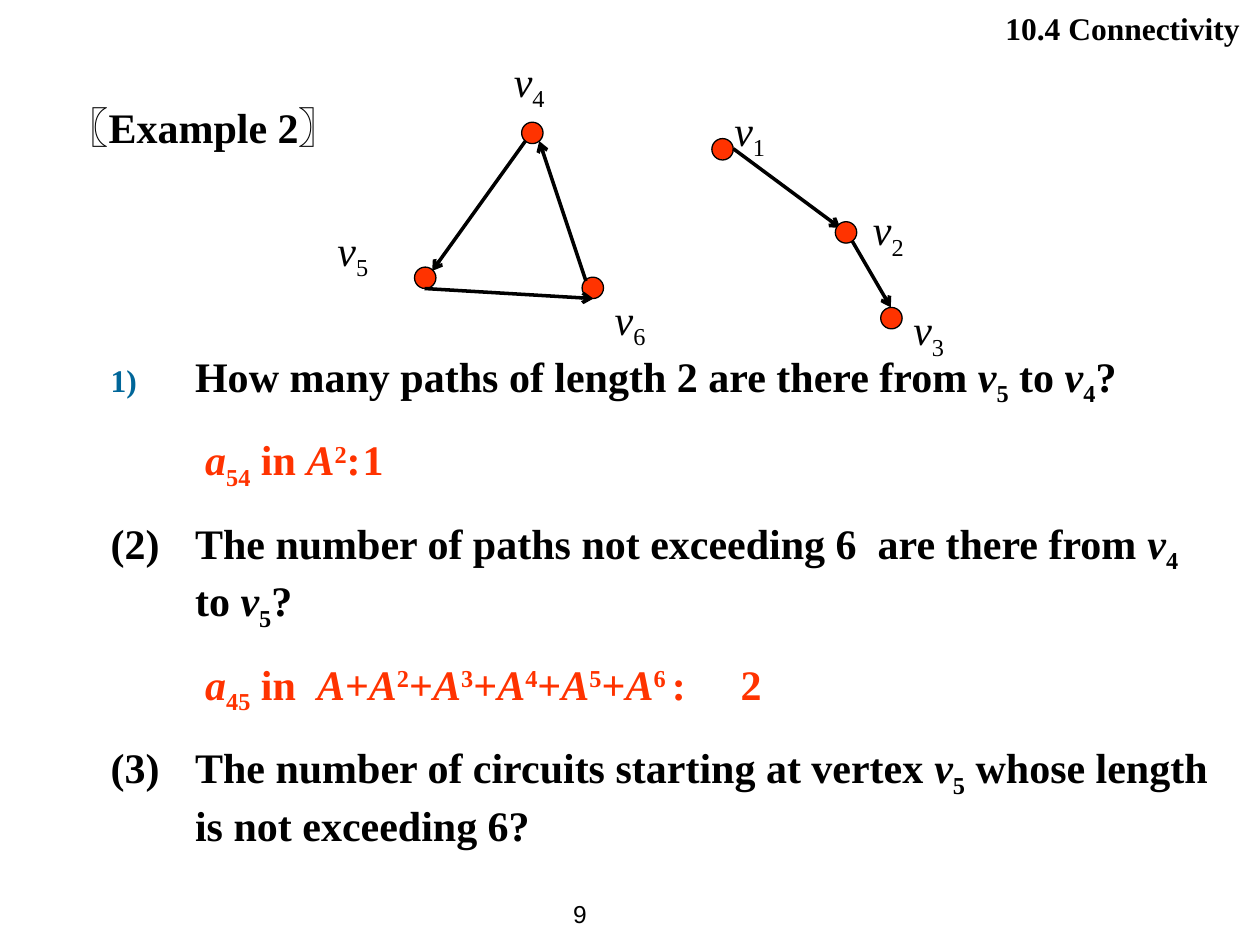
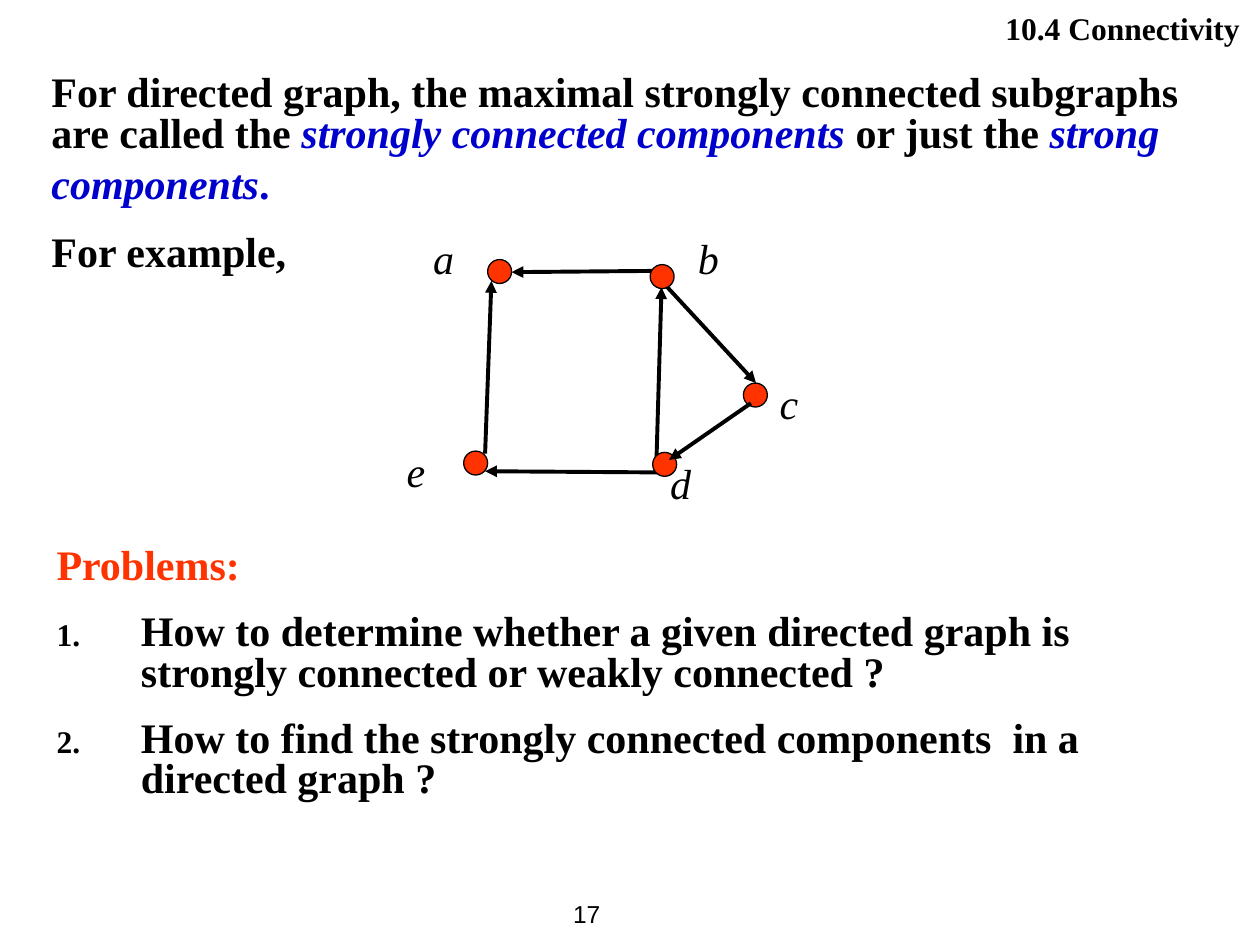
from lxml.etree import SubElement
from pptx import Presentation
from pptx.dml.color import RGBColor
from pptx.enum.shapes import MSO_CONNECTOR, MSO_SHAPE
from pptx.enum.text import MSO_ANCHOR, MSO_AUTO_SIZE, PP_ALIGN
from pptx.oxml.ns import qn
from pptx.util import Inches, Pt

BLACK = RGBColor(0x00, 0x00, 0x00)
RED = RGBColor(0xFF, 0x33, 0x00)
BLUE = RGBColor(0x00, 0x00, 0xCC)
TEAL = RGBColor(0x00, 0x66, 0x99)
SERIF, SANS = "Times New Roman", "Arial"
HANG = 0.67


# Run marks: i italic, _ subscript, ^ superscript, b blue, s sans, L large
def var(letter, index):
    return [(letter, "i"), (index, "_")]


def power(exponent):
    return [("A", "i"), (exponent, "^")]


# ---- Content ----
SECTION = "10.4 Connectivity"

EXAMPLE = [dict(runs=[("〖", "s"), "Example 2", ("〗", "s")])]

POWER_SUM = [("A", "i")]
for exponent in ("2", "3", "4", "5", "6 "):
    POWER_SUM += ["+", *power(exponent)]

QUESTION = dict(left=HANG, indent=-HANG, before=15)
ANSWER = dict(indent=0.75, before=15, color=RED)
PATH_QUESTIONS = [
    dict(left=HANG, indent=-HANG, bullet=("arabicParenR", TEAL),
         runs=["How many paths of length 2 are there from ",
               *var("v", "5"), " to ", *var("v", "4"), "?"]),
    dict(ANSWER, tab=2.45,
         runs=[*var("a", "54"), " in ", *power("2"), ":\t1"]),
    dict(QUESTION,
         runs=["(2)\tThe number of paths not exceeding 6  are there from ",
               *var("v", "4"), " to ", *var("v", "5"), "?"]),
    dict(ANSWER, tab=4.98,
         runs=[*var("a", "45"), " in  ", *POWER_SUM, ":\t2"]),
    dict(QUESTION,
         runs=["(3)\tThe number of circuits starting at vertex ",
               *var("v", "5"), " whose length is not exceeding 6?"]),
]

DEFINITION = [
    dict(spacing=0.8,
         runs=["For directed graph, the maximal strongly connected subgraphs "
               "are called the ",
               ("strongly connected components ", "ib"), "or just the ",
               ("strong components", "ib"), (".", "b"), (" ", "L")]),
    dict(before=9, runs=["For example,"]),
]

PROBLEM = dict(QUESTION, spacing=0.8, bullet=("arabicPeriod", BLACK))
PROBLEMS = [
    dict(spacing=0.8, color=RED, runs=["Problems:"]),
    dict(PROBLEM, runs=["How to determine whether a given directed graph is "
                        "strongly connected or weakly connected ?"]),
    dict(PROBLEM, runs=["How to find the strongly connected components  in a "
                        "directed graph ?"]),
]

# Graphs, back to front: nodes (left, top), edges (from x, y, to x, y)
PATH_GRAPH = dict(
    node=0.17, width=2, arrow="arrow",
    parts=[
        (3.29, 2.12), (4.62, 2.2), (4.14, 0.97),
        (3.37, 2.29, 4.71, 2.37), (4.17, 1.12, 3.43, 2.15),
        (4.65, 2.23, 4.28, 1.12),
        (5.65, 1.1),
        (5.82, 1.18, 6.67, 1.81), (6.75, 1.89, 7.07, 2.44),
        (6.99, 2.44), (6.63, 1.76),
    ],
    labels=[
        (var("v", "1"), 5.73, 0.78), (var("v", "2"), 6.83, 1.57),
        (var("v", "3"), 7.15, 2.36), (var("v", "4"), 3.98, 0.39),
        (var("v", "5"), 2.58, 1.73), (var("v", "6"), 4.78, 2.28),
    ])
COMPONENT_GRAPH = dict(
    node=0.19, width=2.25, arrow="triangle",
    parts=[
        (3.68, 3.58), (3.87, 2.06),
        (5.19, 2.15, 4.06, 2.16), (3.85, 3.6, 3.9, 2.23),
        (5.32, 3.75, 3.85, 3.74), (5.21, 3.66, 5.25, 2.28),
        (5.18, 3.59), (5.9, 3.04),
        (5.26, 2.24, 6, 3.04), (5.96, 3.2, 5.31, 3.65),
        (5.16, 2.1),
    ],
    labels=[
        ([("a", "i")], 3.34, 1.8), ([("b", "i")], 5.44, 1.8),
        ([("c", "i")], 6.09, 2.95), ([("d", "i")], 5.22, 3.58),
        ([("e", "i")], 3.13, 3.49),
    ])

# Each slide: page number, text blocks (paragraphs, left, top, w, h), graph
SLIDES = [
    ("9", [(EXAMPLE, 0.43, 0.76, 9.14, 0.5),
           (PATH_QUESTIONS, 0.78, 2.73, 8.95, 3.7)], PATH_GRAPH),
    ("17", [(DEFINITION, 0.31, 0.55, 9.21, 1.89),
            (PROBLEMS, 0.35, 4.3, 9.45, 2.44)], COMPONENT_GRAPH),
]


# ---- Text ----
def add_run(p, text, marks, color, bold):
    r = p.add_run()
    r.text = text
    r.font.name = SANS if "s" in marks else SERIF
    r.font.size = Pt(32 if "L" in marks else 24)
    r.font.bold = bold
    r.font.italic = "i" in marks
    r.font.color.rgb = BLUE if "b" in marks else color
    if "_" in marks:
        r.font._element.set("baseline", "-25000")
    elif "^" in marks:
        r.font._element.set("baseline", "30000")


def format_paragraph(p, left=0, indent=0, before=0, spacing=None,
                     bullet=None, tab=None):
    pPr = p._p.get_or_add_pPr()
    pPr.set("marL", str(Inches(left)))
    pPr.set("indent", str(Inches(indent)))
    p.space_before = Pt(before)
    if spacing:
        p.line_spacing = spacing
    if bullet:
        scheme, color = bullet
        clr = SubElement(pPr, qn("a:buClr"))
        SubElement(clr, qn("a:srgbClr"), val=str(color))
        SubElement(pPr, qn("a:buSzPct"), val="75000")
        SubElement(pPr, qn("a:buAutoNum"), type=scheme)
    if tab:
        tabs = SubElement(pPr, qn("a:tabLst"))
        SubElement(tabs, qn("a:tab"), pos=str(Inches(tab)), algn="l")


def add_text(s, paragraphs, x, y, w, h, bold=True):
    tf = s.shapes.add_textbox(*map(Inches, (x, y, w, h))).text_frame
    tf.word_wrap = True
    for i, para in enumerate(paragraphs):
        layout = dict(para)
        runs = layout.pop("runs")
        color = layout.pop("color", BLACK)
        p = tf.add_paragraph() if i else tf.paragraphs[0]
        format_paragraph(p, **layout)
        for run in runs:
            text, marks = (run, "") if isinstance(run, str) else run
            add_run(p, text, marks, color, bold)


# ---- Graphs ----
def add_node(s, x, y, size):
    sp = s.shapes.add_shape(MSO_SHAPE.FLOWCHART_CONNECTOR,
                            *map(Inches, (x, y, size, size)))
    sp.shadow.inherit = False
    sp.fill.solid()
    sp.fill.fore_color.rgb = RED
    sp.line.color.rgb = BLACK
    sp.line.width = Pt(0.75)


def add_edge(s, ends, width, arrow):
    line = s.shapes.add_connector(MSO_CONNECTOR.STRAIGHT, *map(Inches, ends))
    line.line.color.rgb = BLACK
    line.line.width = Pt(width)
    SubElement(line.line._get_or_add_ln(), qn("a:tailEnd"), type=arrow)
    SubElement(line._element.spPr, qn("a:effectLst"))


def add_graph(s, graph):
    for part in graph["parts"]:
        if len(part) == 2:
            add_node(s, *part, graph["node"])
        else:
            add_edge(s, part, graph["width"], graph["arrow"])
    for runs, x, y in graph["labels"]:
        add_text(s, [dict(runs=runs)], x, y, 0.7, 0.5, bold=False)


# ---- Shared title and page number ----
def add_title(s):
    sp = s.shapes.title
    sp.left, sp.top, sp.width, sp.height = map(Inches, (6.75, 0.02, 3.25, 0.4))
    tf = sp.text_frame
    tf.text = SECTION
    tf.auto_size = MSO_AUTO_SIZE.NONE
    tf.vertical_anchor = MSO_ANCHOR.TOP
    tf.margin_right = Inches(0.16)
    p = tf.paragraphs[0]
    p.alignment = PP_ALIGN.RIGHT
    font = p.runs[0].font
    font.name, font.size, font.bold = SERIF, Pt(18), True
    font.color.rgb = BLACK


def add_page_number(s, number):
    tf = s.shapes.add_textbox(*map(Inches, (4.45, 7, 0.67, 0.5))).text_frame
    tf.text = number
    tf.word_wrap = False
    tf.vertical_anchor = MSO_ANCHOR.MIDDLE
    font = tf.paragraphs[0].runs[0].font
    font.name, font.size = SANS, Pt(14)
    font.color.rgb = BLACK


def main():
    prs = Presentation()
    prs.slide_width, prs.slide_height = Inches(10), Inches(7.5)
    for number, blocks, graph in SLIDES:
        s = prs.slides.add_slide(prs.slide_layouts[5])
        add_title(s)
        add_page_number(s, number)
        for block in blocks:
            add_text(s, *block)
        add_graph(s, graph)
    prs.save("out.pptx")


if __name__ == "__main__":
    main()
